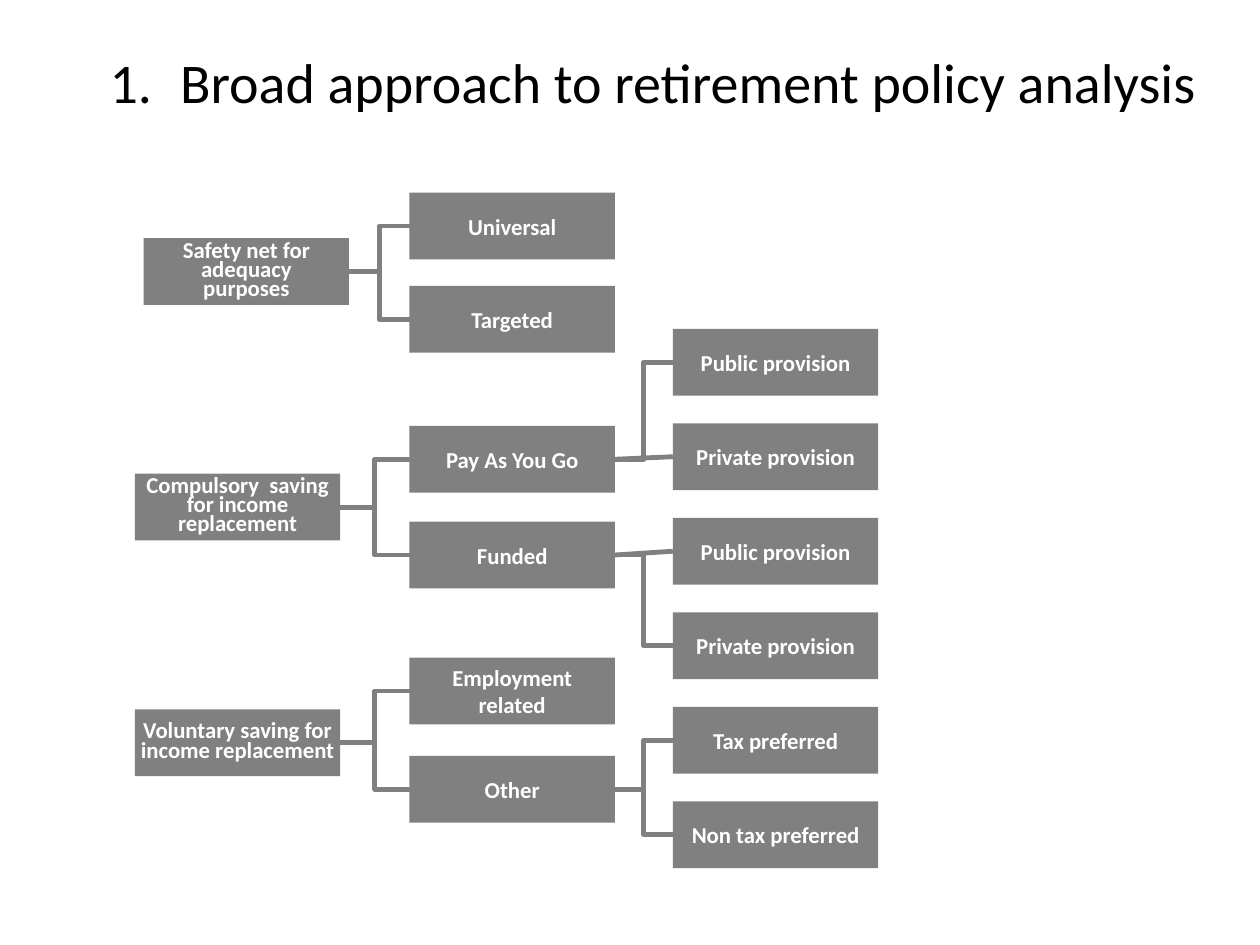
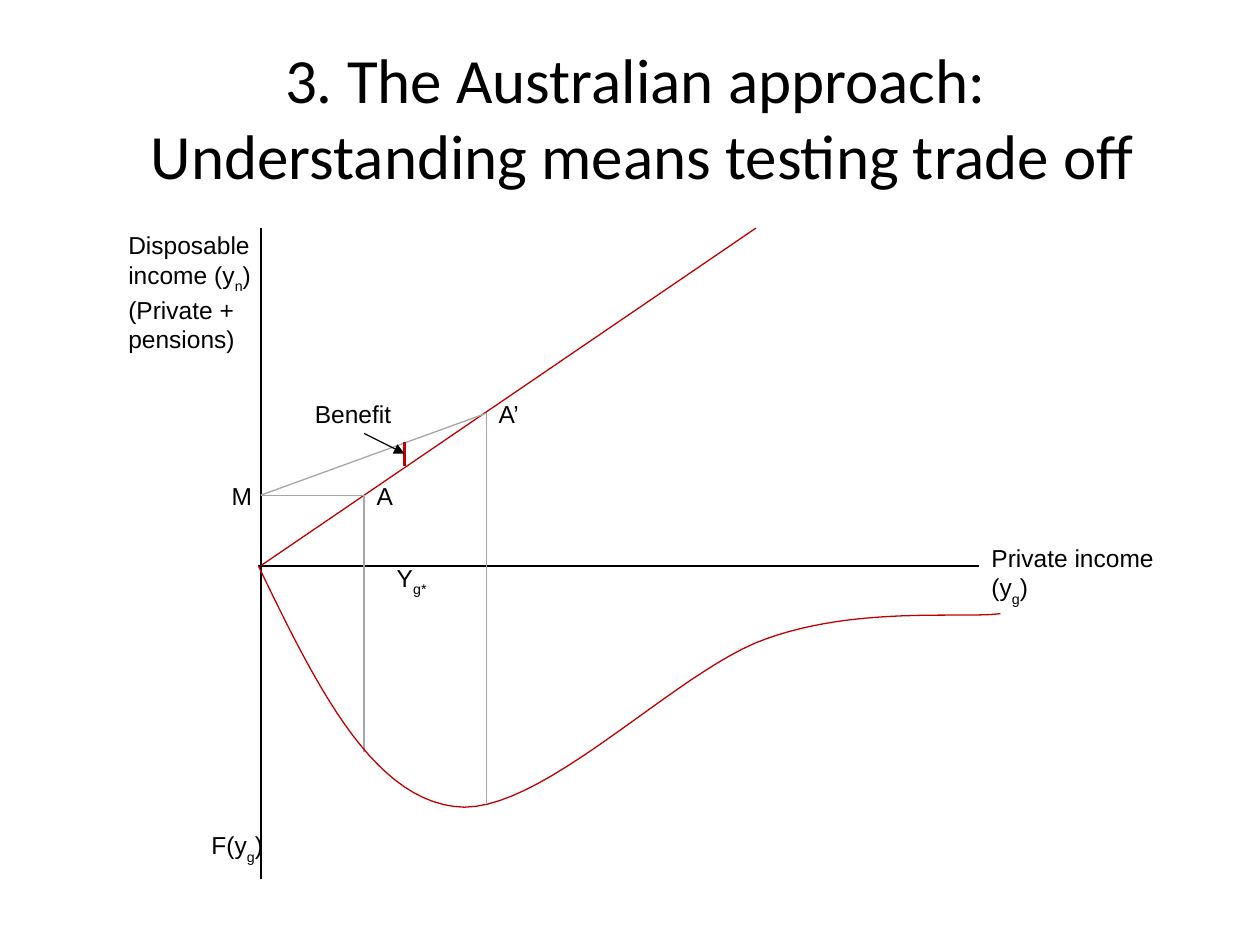
"""Build two slides on retirement policy: a tree of approaches and a means testing diagram."""
import pptx
import pptx.util
import pptx.dml.color
import pptx.enum.shapes
import pptx.enum.text
import pptx.oxml.ns
from lxml import etree

Inches, Pt = pptx.util.Inches, pptx.util.Pt
RGBColor = pptx.dml.color.RGBColor
MSO_SHAPE = pptx.enum.shapes.MSO_SHAPE
MSO_CONNECTOR = pptx.enum.shapes.MSO_CONNECTOR
MSO_ANCHOR = pptx.enum.text.MSO_ANCHOR
PP_ALIGN = pptx.enum.text.PP_ALIGN
qn = pptx.oxml.ns.qn

BLACK = RGBColor(0x00, 0x00, 0x00)
WHITE = RGBColor(0xFF, 0xFF, 0xFF)
GREY = RGBColor(0x80, 0x80, 0x80)
LIGHT_GREY = RGBColor(0xA6, 0xA6, 0xA6)
RED = RGBColor(0xC0, 0x00, 0x00)
TITLE_FONT, LABEL_FONT = "Calibri", "Arial"

TREE_TITLE = "Broad approach to retirement policy analysis"
TREE = [
    ("Safety net for adequacy purposes", [
        ("Universal", 1.53, []),
        ("Targeted", 2.27, []),
    ]),
    ("Compulsory  saving for income replacement", [
        ("Pay As You Go", 3.38, ["Public provision", "Private provision"]),
        ("Funded", 4.14, ["Public provision", "Private provision"]),
    ]),
    ("Voluntary saving for\nincome replacement", [
        ("Employment related", 5.22, []),
        ("Other", 6, ["Tax preferred", "Non tax preferred"]),
    ]),
]
BOX_W, BOX_H = 1.63, 0.53
ROOT_X, ROOT_TOP, ROOT_STEP, ROOT_SHIFT = 1.07, 1.89, 1.87, 0.07
BRANCH_X = 3.25
LEAF_X, LEAF_TOP, LEAF_STEP = 5.34, 2.61, 0.75
LEVEL_GAP = 0.1

DIAGRAM_TITLE = "3. The Australian approach: \vUnderstanding means testing trade off"
ORIGIN = AXIS_X, AXIS_Y = 2.07, 4.49
M, A, A_PRIME = (AXIS_X, 3.93), (2.89, 3.93), (3.86, 3.28)
BENEFIT = (3.21, 3.6)
LINES = [
    ((AXIS_X, 1.81), (AXIS_X, 6.98), BLACK, 1.25),
    ((2.05, AXIS_Y), (7.77, AXIS_Y), BLACK, 1.25),
    (ORIGIN, (6, 1.81), RED, 0.75),
    (M, A, LIGHT_GREY, 0.75),
    (A, (A[0], 5.97), LIGHT_GREY, 0.75),
    (M, A_PRIME, LIGHT_GREY, 0.75),
    (A_PRIME, (A_PRIME[0], 6.37), LIGHT_GREY, 0.75),
    ((BENEFIT[0], 3.51), (BENEFIT[0], 3.7), RED, 1.25),
]
DENSITY_CURVE = [
    (2.05, 4.49), (2.49, 5.4), (2.93, 6.31), (3.6, 6.4), (4.27, 6.5),
    (5.36, 5.32), (6.08, 5.07), (6.8, 4.81), (7.63, 4.91), (7.94, 4.87),
]
CURVE_STEPS = 24
LABELS = [
    ("Private income (y|g|)", 7.77, 4.26, 1.79, 0.32),
    ("M", 1.74, 3.77, 0.98, 0.33),
    ("A", 2.89, 3.77, 0.49, 0.33),
    ("A’", 3.86, 3.12, 0.49, 0.49),
    ("Disposable income (y|n|)\n(Private + pensions)", 0.92, 1.78, 1.47, 1.14),
    ("F(y|g|)", 1.58, 6.54, 0.81, 0.32),
    ("Y|g*|", 3.05, 4.42, 0.65, 0.49),
    ("Benefit", 2.4, 3.12, 0.98, 0.33),
]


def write(sp, text, *, size, font=TITLE_FONT, color=BLACK, bold=False, align=PP_ALIGN.LEFT,
          anchor=MSO_ANCHOR.TOP, inset=0.1, spacing=None):
    """Fill a shape with text: newlines part paragraphs, bars enclose subscripts."""
    tf = sp.text_frame
    tf.word_wrap = True
    tf.vertical_anchor = anchor
    tf.margin_left = tf.margin_right = Inches(inset)
    tf.margin_top = tf.margin_bottom = Inches(0.05)
    for i, paragraph in enumerate(text.split("\n")):
        p = tf.add_paragraph() if i else tf.paragraphs[0]
        p.alignment = align
        if spacing:
            p.line_spacing = spacing
        for row, line in enumerate(paragraph.split("\v")):
            if row:
                p.add_line_break()
            for j, part in enumerate(line.split("|")):
                if not part:
                    continue
                r = p.add_run()
                r.text = part
                r.font.name, r.font.size, r.font.bold = font, Pt(size), bold
                r.font.color.rgb = color
                if j % 2:
                    r.font._element.set("baseline", "-30000")
    return tf


def add_text(slide, text, x, y, w, h, **fmt):
    """Add a text box."""
    sp = slide.shapes.add_textbox(Inches(x), Inches(y), Inches(w), Inches(h))
    return write(sp, text, **fmt)


def add_box(slide, text, x, y, **fmt):
    """Add one grey box of the tree."""
    sp = slide.shapes.add_shape(MSO_SHAPE.RECTANGLE, Inches(x), Inches(y), Inches(BOX_W), Inches(BOX_H))
    sp.shadow.inherit = False
    sp.fill.solid()
    sp.fill.fore_color.rgb = GREY
    sp.line.fill.background()
    write(sp, text, size=13, color=WHITE, bold=True, align=PP_ALIGN.CENTER,
          anchor=MSO_ANCHOR.MIDDLE, **fmt)
    return sp


def add_line(slide, start, end, color, width, kind=MSO_CONNECTOR.STRAIGHT, arrow=False):
    """Add a connector without shadow."""
    cxn = slide.shapes.add_connector(kind, *(Inches(v) for v in (*start, *end)))
    cxn.line.color.rgb = color
    cxn.line.width = Pt(width)
    if arrow:
        etree.SubElement(cxn.line._get_or_add_ln(), qn("a:tailEnd"), type="triangle")
    etree.SubElement(cxn._element.spPr, qn("a:effectLst"))
    return cxn


def join(slide, parent, child):
    """Tie a parent box to its child, with an elbow unless they are nearly level."""
    level = abs(parent.top - child.top) < Inches(LEVEL_GAP)
    kind = MSO_CONNECTOR.STRAIGHT if level else MSO_CONNECTOR.ELBOW
    cxn = add_line(slide, (0, 0), (1, 1), GREY, 2.75, kind)
    cxn.begin_connect(parent, 3)
    cxn.end_connect(child, 1)


def add_curve(slide, points, color, width):
    """Draw a chain of cubic Bezier arcs as an open outline."""
    dots = [points[0]]
    for k in range(0, len(points) - 1, 3):
        arc = points[k:k + 4]
        for step in range(1, CURVE_STEPS + 1):
            t = step / CURVE_STEPS
            weights = ((1 - t) ** 3, 3 * t * (1 - t) ** 2, 3 * t * t * (1 - t), t ** 3)
            dots.append(tuple(sum(w * pt[axis] for w, pt in zip(weights, arc)) for axis in (0, 1)))
    dots = [(Inches(x), Inches(y)) for x, y in dots]
    builder = slide.shapes.build_freeform(*dots[0])
    builder.add_line_segments(dots[1:], close=False)
    sp = builder.convert_to_shape()
    sp.shadow.inherit = False
    sp.fill.background()
    sp.line.color.rgb = color
    sp.line.width = Pt(width)


def build_tree(slide):
    """Lay out the numbered title and the three trees."""
    tf = add_text(slide, TREE_TITLE, 0.83, 0.33, 8.74, 0.63, size=32, inset=0.04)
    pPr = tf.paragraphs[0]._p.get_or_add_pPr()
    pPr.set("marL", str(Inches(0.56)))
    pPr.set("indent", str(-Inches(0.56)))
    etree.SubElement(pPr, qn("a:buFont"), typeface="+mj-lt")
    etree.SubElement(pPr, qn("a:buAutoNum"), type="arabicPeriod")
    leaf_count = 0
    for i, (name, branches) in enumerate(TREE):
        first = i == 0
        root = add_box(slide, name, ROOT_X + ROOT_SHIFT * first, ROOT_TOP + i * ROOT_STEP,
                       inset=0.1 if first else 0, spacing=0.7)
        for branch_name, y, leaves in branches:
            branch = add_box(slide, branch_name, BRANCH_X, y)
            join(slide, root, branch)
            for leaf_name in leaves:
                leaf = add_box(slide, leaf_name, LEAF_X, LEAF_TOP + leaf_count * LEAF_STEP)
                join(slide, branch, leaf)
                leaf_count += 1


def build_diagram(slide):
    """Draw the axes, the income lines, the curve and their labels."""
    add_text(slide, DIAGRAM_TITLE, 0.2, 0.3, 9.8, 1.25, size=36,
             align=PP_ALIGN.CENTER, anchor=MSO_ANCHOR.MIDDLE)
    for line in LINES:
        add_line(slide, *line)
    add_curve(slide, DENSITY_CURVE, RED, 0.75)
    add_line(slide, (A[0], 3.44), BENEFIT, BLACK, 0.75, arrow=True)
    for label in LABELS:
        add_text(slide, *label, size=14, font=LABEL_FONT)


def main():
    """Build and save the deck."""
    prs = pptx.Presentation()
    prs.slide_width, prs.slide_height = Inches(10), Inches(7.5)
    for build in (build_tree, build_diagram):
        build(prs.slides.add_slide(prs.slide_layouts[6]))
    prs.save("out.pptx")


if __name__ == "__main__":
    main()
